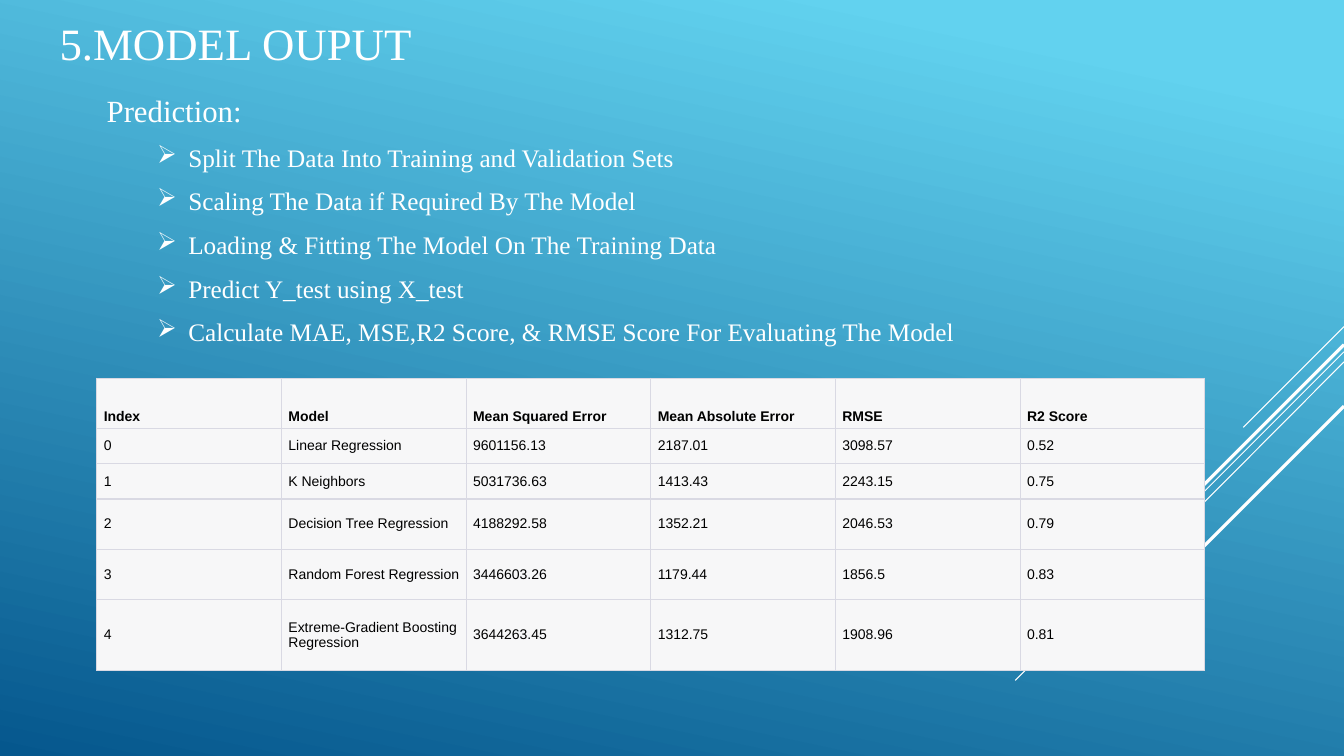
from dataclasses import dataclass
from lxml import etree
from pptx import Presentation
from pptx.dml.color import RGBColor
from pptx.enum.shapes import MSO_CONNECTOR
from pptx.enum.text import MSO_ANCHOR, PP_ALIGN
from pptx.oxml.ns import qn
from pptx.util import Inches, Pt

LEFT = PP_ALIGN.LEFT
TOP, MIDDLE, BOTTOM = MSO_ANCHOR.TOP, MSO_ANCHOR.MIDDLE, MSO_ANCHOR.BOTTOM
STRAIGHT = MSO_CONNECTOR.STRAIGHT


@dataclass(frozen=True)
class Theme:
    white: str = "FFFFFF"
    black: str = "000000"
    sky: str = "62D2EF"
    navy: str = "05578D"
    cell: str = "F7F7F8"
    border: str = "D9D9E3"
    serif: str = "Times New Roman"
    sans: str = "Arial"
    title: int = 32
    heading: int = 22
    bullet: int = 18
    table: int = 10


T = Theme()


def add_run(p, text, size, font, color, bold=False):
    r = p.add_run()
    r.text = text
    r.font.size = Pt(size)
    r.font.name = font
    r.font.bold = bold
    r.font.color.rgb = RGBColor.from_string(color)


def add_border(tc_pr, side, width):
    ln = etree.SubElement(tc_pr, qn(f"a:{side}"), w=str(Pt(width)))
    fill = etree.SubElement(ln, qn("a:solidFill"))
    etree.SubElement(fill, qn("a:srgbClr"), val=T.border)


prs = Presentation()
prs.slide_width, prs.slide_height = Inches(13.33), Inches(7.5)
s = prs.slides.add_slide(prs.slide_layouts[5])

# Background gradient
bg = s.background.fill
bg.gradient()
bg.gradient_angle = 258
for stop, position, color in zip(bg.gradient_stops, (0.1, 1), (T.sky, T.navy)):
    stop.position = position
    stop.color.rgb = RGBColor.from_string(color)

# Diagonal lines running down from the right edge
DIAGONALS = [  # start y, end x, end y, width
    (3.24, 12.33, 4.24, 0.75),
    (3.49, 10.07, 6.75, 0.75),
    (3.59, 11.26, 5.67, 0.75),
    (3.42, 11.42, 5.33, 2.25),
    (4.03, 11.94, 5.42, 2.25),
]
for y1, x2, y2, width in DIAGONALS:
    line = s.shapes.add_connector(STRAIGHT, Inches(13.33), Inches(y1), Inches(x2), Inches(y2))
    line.line.color.rgb = RGBColor.from_string(T.white)
    line.line.width = Pt(width)
    etree.SubElement(line._element.spPr, qn("a:effectLst"))

# Title
title = s.shapes.title
title.left, title.top, title.width, title.height = (Inches(v) for v in (0.49, 0.11, 3.74, 0.64))
tf = title.text_frame
tf.word_wrap = False
tf.vertical_anchor = TOP
p = tf.paragraphs[0]
p.alignment = LEFT
add_run(p, "5.MODEL OUPUT", T.title, T.serif, T.white)

# Prediction steps
STEPS = [
    "Split The Data Into Training and Validation Sets",
    "Scaling The Data if Required By The Model",
    "Loading & Fitting The Model On The Training Data",
    "Predict Y_test using X_test",
    "Calculate MAE, MSE,R2 Score, & RMSE Score For Evaluating The Model",
]
sp = s.shapes.add_textbox(Inches(0.96), Inches(0.86), Inches(10.99), Inches(2.7))
tf = sp.text_frame
tf.word_wrap = True
add_run(tf.paragraphs[0], "Prediction:", T.heading, T.serif, T.white)
for step in STEPS:
    p = tf.add_paragraph()
    p.level = 1
    p.space_before = Pt(9.6)
    p.line_spacing = Pt(21.6)
    p_pr = p._p.get_or_add_pPr()
    p_pr.set("marL", str(Inches(0.81)))
    p_pr.set("indent", str(Inches(-0.31)))
    bullet_color = etree.SubElement(p_pr, qn("a:buClr"))
    etree.SubElement(bullet_color, qn("a:srgbClr"), val=T.white)
    etree.SubElement(p_pr, qn("a:buChar"), char="➢")
    add_run(p, step, T.bullet, T.serif, T.white)

# Model score table
SCORES = [
    ("Index", "Model", "Mean Squared Error", "Mean Absolute Error", "RMSE", "R2 Score"),
    ("0", "Linear Regression", "9601156.13", "2187.01", "3098.57", "0.52"),
    ("1", "K Neighbors", "5031736.63", "1413.43", "2243.15", "0.75"),
    ("2", "Decision Tree Regression", "4188292.58", "1352.21", "2046.53", "0.79"),
    ("3", "Random Forest Regression", "3446603.26", "1179.44", "1856.5", "0.83"),
    ("4", "Extreme-Gradient Boosting Regression", "3644263.45", "1312.75", "1908.96", "0.81"),
]
ROW_HEIGHTS = (0.5, 0.35, 0.35, 0.5, 0.5, 0.7)
table = s.shapes.add_table(len(SCORES), len(SCORES[0]), Inches(0.96), Inches(3.75),
                           Inches(10.99), Inches(2.9)).table
for row, height in zip(table.rows, ROW_HEIGHTS):
    row.height = Inches(height)
for i, scores in enumerate(SCORES):
    header, last = i == 0, i == len(SCORES) - 1
    borders = {"lnL": 0.75, "lnR": 0.75, "lnT": 0.75 if header else 1, "lnB": 0.75 if last else 1}
    for j, text in enumerate(scores):
        cell = table.cell(i, j)
        cell.margin_left = cell.margin_right = Inches(0.07)
        cell.margin_top = cell.margin_bottom = Inches(0.04)
        cell.vertical_anchor = BOTTOM if header else MIDDLE
        for side, width in borders.items():
            add_border(cell._tc.get_or_add_tcPr(), side, width)
        cell.fill.solid()
        cell.fill.fore_color.rgb = RGBColor.from_string(T.cell)
        add_run(cell.text_frame.paragraphs[0], text, T.table, T.sans, T.black, bold=header)

prs.save("out.pptx")
